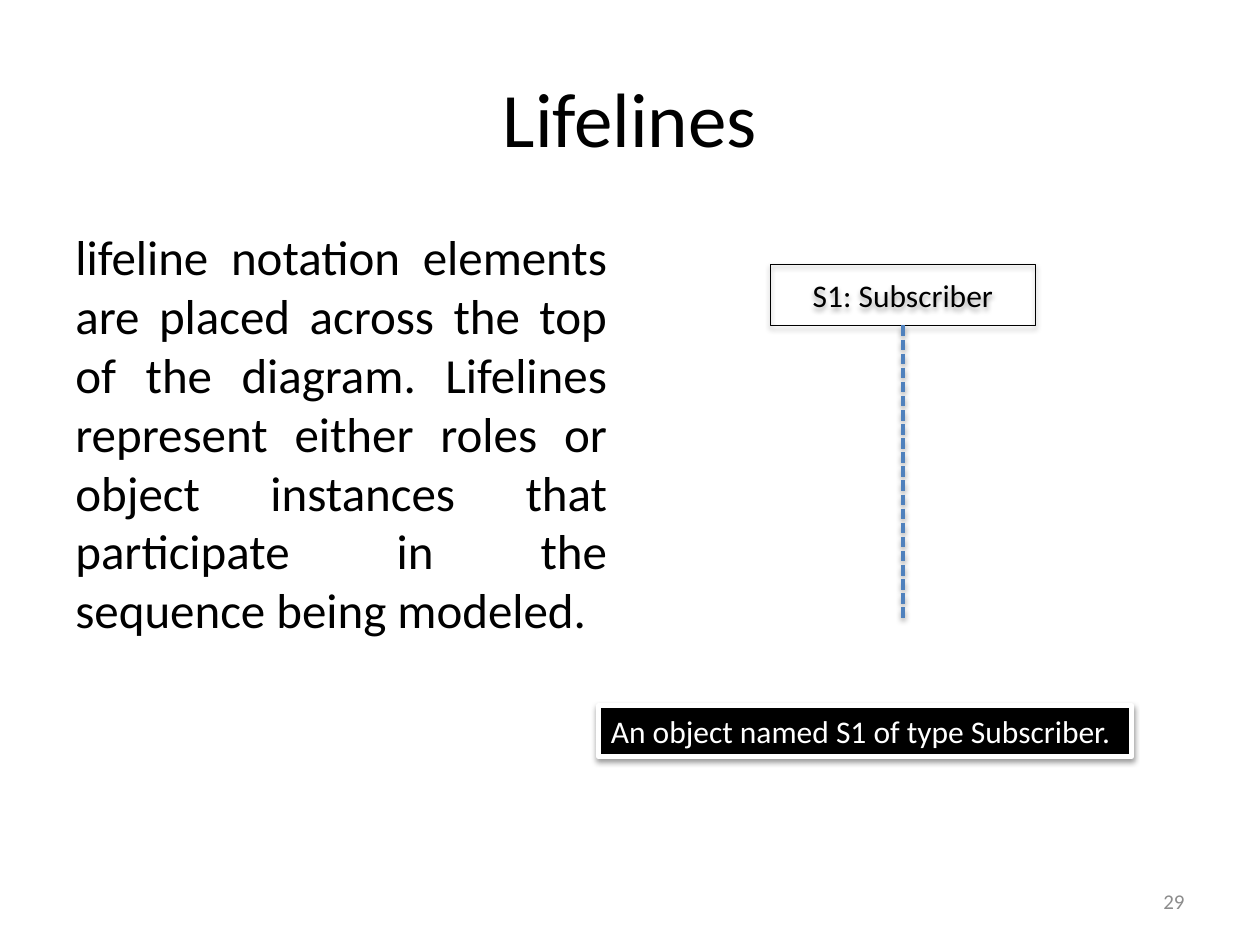
import pptx
import pptx.util
import pptx.dml.color
import pptx.enum.dml
import pptx.enum.shapes
import pptx.enum.text
import pptx.oxml
import pptx.oxml.ns

Pt = pptx.util.Pt
ALIGN = pptx.enum.text.PP_ALIGN
ANCHOR = pptx.enum.text.MSO_ANCHOR

COLORS = {
    "text": "000000",
    "paper": "FFFFFF",
    "number": "8C8C8C",
    "lifeline": "4F81BD",
}


def rgb(name):
    return pptx.dml.color.RGBColor.from_string(COLORS[name])


class Deck:
    font = "Calibri"

    def __init__(self, prs):
        self.s = prs.slides.add_slide(prs.slide_layouts[6])

    def fill_text(self, sp, text, size, color="text", align=ALIGN.LEFT, **frame):
        tf = sp.text_frame
        for name, value in ({"word_wrap": True, "vertical_anchor": ANCHOR.TOP} | frame).items():
            setattr(tf, name, value)
        p = tf.paragraphs[0]
        p.alignment = align
        r = p.add_run()
        r.text = text
        for name, value in {"name": self.font, "size": Pt(size)}.items():
            setattr(r.font, name, value)
        r.font.color.rgb = rgb(color)

    def text(self, box, text, size, **style):
        sp = self.s.shapes.add_textbox(*map(Pt, box))
        self.fill_text(sp, text, size, **style)

    def rect(self, box, text, size, line, width, shadow, fill=None, **style):
        sp = self.s.shapes.add_shape(pptx.enum.shapes.MSO_SHAPE.RECTANGLE, *map(Pt, box))
        if fill:
            sp.fill.solid()
            sp.fill.fore_color.rgb = rgb(fill)
        else:
            sp.fill.background()
        self.stroke(sp, line, width)
        self.shadow(sp, **shadow)
        self.fill_text(sp, text, size, **style)

    def line(self, start, end, color, width, dash, shadow):
        sp = self.s.shapes.add_connector(
            pptx.enum.shapes.MSO_CONNECTOR.STRAIGHT, *map(Pt, start + end))
        self.stroke(sp, color, width)
        sp.line.dash_style = dash
        self.shadow(sp, **shadow)

    def stroke(self, sp, color, width):
        sp.line.color.rgb = rgb(color)
        sp.line.width = Pt(width)

    def shadow(self, sp, opacity, blur, distance):
        sp._element.spPr.append(pptx.oxml.parse_xml(
            f'<a:effectLst {pptx.oxml.ns.nsdecls("a")}>'
            f'<a:outerShdw blurRad="{Pt(blur)}" dist="{Pt(distance)}" dir="5400000" rotWithShape="0">'
            f'<a:srgbClr val="{COLORS["text"]}"><a:alpha val="{opacity * 1000}"/></a:srgbClr>'
            '</a:outerShdw></a:effectLst>'))


def main():
    prs = pptx.Presentation()
    prs.slide_width, prs.slide_height = Pt(720), Pt(540)
    deck = Deck(prs)
    soft = {"opacity": 35, "blur": 3.1, "distance": 1.8}
    firm = {"opacity": 38, "blur": 3.1, "distance": 1.6}

    deck.text((36, 21.6, 648, 90), "Lifelines", 44,
              align=ALIGN.CENTER, vertical_anchor=ANCHOR.MIDDLE)
    deck.text((36, 126, 318, 356.4),
              "lifeline notation elements are placed across the top of the diagram. "
              "Lifelines represent either roles or object instances that participate "
              "in the sequence being modeled.", 28, align=ALIGN.JUSTIFY)
    deck.text((516, 500.5, 168, 28.75), "29", 12, color="number",
              align=ALIGN.RIGHT, vertical_anchor=ANCHOR.MIDDLE)
    deck.rect((342, 403.2, 304.7, 29.1), "An object named S1 of type Subscriber.", 18,
              "paper", 3, firm, fill="text", color="paper", word_wrap=False,
              auto_size=pptx.enum.text.MSO_AUTO_SIZE.SHAPE_TO_FIT_TEXT)

    left, top, width, height = head = (440.4, 151, 151.2, 35)
    deck.rect(head, "S1: Subscriber", 18, "text", 0.75, soft,
              align=ALIGN.CENTER, vertical_anchor=ANCHOR.MIDDLE)
    center = left + width / 2
    deck.line((center, top + height), (center, 354.6), "lifeline", 2,
              pptx.enum.dml.MSO_LINE.SQUARE_DOT, firm)

    prs.save("out.pptx")


if __name__ == "__main__":
    main()
